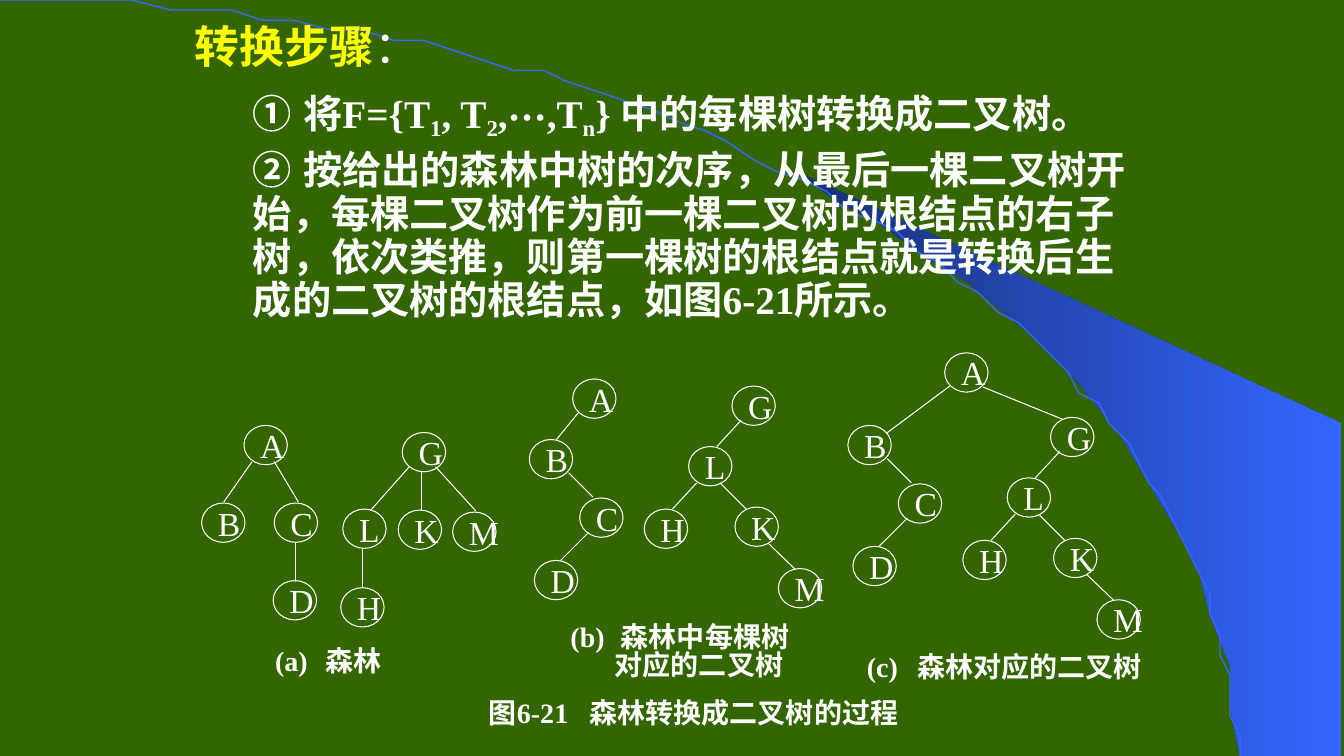
import pptx
import pptx.dml.color
import pptx.enum.shapes
import pptx.enum.text
import pptx.oxml.ns
import pptx.util
from lxml import etree

COLORS = {"background": "336600", "white": "FFFFFF", "yellow": "FFFF00",
          "blue": "3366FF", "navy": "182F76"}
LATIN, EAST_ASIAN = "Times New Roman", "Noto Sans CJK SC"
CELL = 0.1  # inches per grid column and row
NODE_SIZE = (4.3, 3.9)

# Corners of the wedge behind the text, in columns and rows
WEDGE = [(122.7, 74.8), (133.1, 74.9), (133.1, 42.3), (78.6, 17.3), (83.2, 19.9),
         (87, 22.2), (91.3, 25), (95.5, 28), (101.6, 33), (107, 38.4), (111, 43.1),
         (114.4, 47.9), (117.1, 52.8), (119.1, 57.2), (120.4, 60.9), (121.7, 65.6),
         (122.3, 69.6)]
ARC_END = (122.6, 74.9)
ARC_CONTROLS = [(0, 0), (67.7, 0), (122.6, 33.5), ARC_END]

# Each tree: nodes as {label: (column, row)} and edges as (x1, y1, x2, y2),
# both measured from the corner of its root
FOREST_A = ({"A": (0, 0), "B": (-4.2, 7.7), "C": (3, 7.7), "D": (2.9, 15.4)},
            [(0.8, 3.6, -2, 7.6), (3, 3.6, 5.4, 7.6), (5.1, 11.6, 5.1, 15.5)])
FOREST_G = ({"G": (0, 0), "L": (-5.9, 7.6), "K": (-0.4, 7.7), "M": (5, 7.9),
             "H": (-6.1, 15.4)},
            [(0.7, 3.4, -3.2, 7.8), (1.9, 3.9, 1.9, 7.8), (3.3, 3.4, 7.3, 7.8),
             (-3.9, 11.5, -3.9, 15.4)])
BINARY_B = ({"B": (0, 0), "C": (5, 5.8), "D": (0.5, 12)},
            [(3.9, 3.3, 6.3, 5.7), (5.9, 9.2, 3.1, 12)])
BINARY_G = ({"G": (0, 0), "L": (-4.3, 6), "K": (0.3, 12), "H": (-8.7, 12.2),
             "M": (4.6, 18.1)},
            [(0.9, 3.4, -1.5, 6), (-1.2, 9.6, 1.4, 12.2), (-3.5, 9.6, -5.9, 12.2),
             (3.6, 15.6, 6.3, 18.2)])
ROOT_OF_PAIR = ({"A": (0, 0)}, [(0.6, 3.3, -1.6, 6)])
ROOT_OF_ALL = ({"A": (0, 0)}, [(0.5, 3.3, -5.8, 8), (3.8, 3.4, 11.7, 6.6)])

PLACED_TREES = [
    (FOREST_A, 24.2, 42.2), (FOREST_G, 39.9, 42.9),
    (ROOT_OF_PAIR, 56.8, 37.6), (BINARY_B, 52.5, 43.6), (BINARY_G, 72.6, 38.3),
    (ROOT_OF_ALL, 93.7, 35), (BINARY_B, 84.1, 42.2), (BINARY_G, 104.2, 41.4),
]

# Column, row, width, height, tab stop, lines as (text, indent)
CAPTIONS = [
    (26.3, 63.8, 14, 3.9, 5.3, [("(a)\t森林", 0)]),
    (55.6, 61.2, 26, 7.1, 5.4, [("(b)\t森林中每棵树", 0), ("对应的二叉树", 4.4)]),
    (85, 64.4, 31, 3.9, 5.1, [("(c)\t森林对应的二叉树", 0)]),
    (47.5, 69, 46, 3.9, 10.7, [("图6-21\t森林转换成二叉树的过程", 0)]),
]

STEP_ONE = [("①\t将F={T", False), ("1", True), (", T", False), ("2", True),
            (",⋯,T", False), ("n", True), ("} 中的每棵树转换成二叉树。", False)]
STEP_TWO = [("②\t按给出的森林中树的次序，从最后一棵二叉树开始，每棵二叉树作为"
             "前一棵二叉树的根结点的右子树，依次类推，则第一棵树的根结点就是转换后"
             "生成的二叉树的根结点，如图6-21所示。", False)]


def grid(cells):
    return pptx.util.Inches(cells * CELL)


def rgb(name):
    return pptx.dml.color.RGBColor.from_string(COLORS[name])


def write(paragraph, text, size=24, bold=False, color="white", subscript=False):
    """Add one formatted run to the paragraph."""
    run = paragraph.add_run()
    run.text = text
    run.font.size = pptx.util.Pt(size)
    run.font.bold = bold
    run.font.name = LATIN
    run.font.color.rgb = rgb(color)
    properties = run._r.get_or_add_rPr()
    if subscript:
        properties.set("baseline", "-18000")
    east_asian = etree.Element(pptx.oxml.ns.qn("a:ea"), typeface=EAST_ASIAN)
    properties.find(pptx.oxml.ns.qn("a:latin")).addnext(east_asian)


def set_layout(paragraph, spacing, tab=0, indent=0):
    """Set line spacing, a left tab stop and a left margin."""
    paragraph.line_spacing = spacing
    properties = paragraph._p.get_or_add_pPr()
    properties.set("marL", str(grid(indent)))
    properties.set("indent", "0")
    if tab:
        tabs = etree.SubElement(properties, pptx.oxml.ns.qn("a:tabLst"))
        etree.SubElement(tabs, pptx.oxml.ns.qn("a:tab"), pos=str(grid(tab)), algn="l")


def bezier(controls, steps=60):
    """Return points along a cubic curve."""
    weights = (1, 3, 3, 1)
    return [tuple(sum(weight * (1 - t) ** (3 - i) * t ** i * point[axis]
                      for i, (weight, point) in enumerate(zip(weights, controls)))
                  for axis in (0, 1))
            for t in (step / steps for step in range(steps + 1))]


class SlideBuilder:
    """Holds the slide and draws each kind of element in its style."""

    def __init__(self, presentation):
        self.slide = presentation.slides.add_slide(presentation.slide_layouts[5])
        self.shapes = self.slide.shapes
        self.slide.background.fill.solid()
        self.slide.background.fill.fore_color.rgb = rgb("background")

    def outline(self, line, color="white", width=0.75):
        line.color.rgb = rgb(color)
        line.width = pptx.util.Pt(width)

    def freeform(self, points, close):
        builder = self.shapes.build_freeform(*points[0], scale=grid(1))
        builder.add_line_segments(points[1:], close=close)
        shape = builder.convert_to_shape()
        shape.shadow.inherit = False
        return shape

    def wedge(self):
        shape = self.freeform(WEDGE, True)
        shape.line.fill.background()
        shape.fill.gradient()
        shape.fill.gradient_angle = 0
        for stop, color, position in zip(shape.fill.gradient_stops, ("navy", "blue"), (0, 1)):
            stop.color.rgb = rgb(color)
            stop.position = position

    def arc(self):
        shape = self.freeform(bezier(ARC_CONTROLS), False)
        shape.fill.background()
        self.outline(shape.line, "blue", 1)

    def title(self, column, row, width, height):
        title = self.shapes.title
        title.left, title.top, title.width, title.height = map(grid, (column, row, width, height))
        title.element.getparent().append(title.element)  # in front of the backdrop
        frame = title.text_frame
        frame.auto_size = pptx.enum.text.MSO_AUTO_SIZE.NONE
        frame.vertical_anchor = pptx.enum.text.MSO_ANCHOR.TOP
        paragraph = frame.paragraphs[0]
        paragraph.alignment = pptx.enum.text.PP_ALIGN.LEFT
        set_layout(paragraph, 0.92)
        write(paragraph, "转换步骤", size=32, bold=True, color="yellow")
        write(paragraph, "：", size=32)

    def text_frame(self, column, row, width, height):
        frame = self.shapes.add_textbox(*map(grid, (column, row, width, height))).text_frame
        frame.word_wrap = True
        return frame

    def steps(self, column, row, width, height):
        frame = self.text_frame(column, row, width, height)
        first, second = frame.paragraphs[0], frame.add_paragraph()
        second.space_before = pptx.util.Pt(8.5)
        for paragraph, runs, tab in ((first, STEP_ONE, 6.6), (second, STEP_TWO, 5.7)):
            set_layout(paragraph, 0.92, tab)
            for text, subscript in runs:
                write(paragraph, text, size=28, bold=True, subscript=subscript)

    def caption(self, column, row, width, height, tab, lines):
        frame = self.text_frame(column, row, width, height)
        frame.vertical_anchor = pptx.enum.text.MSO_ANCHOR.MIDDLE
        for index, (text, indent) in enumerate(lines):
            paragraph = frame.add_paragraph() if index else frame.paragraphs[0]
            set_layout(paragraph, 0.84, tab if "\t" in text else 0, indent)
            write(paragraph, text, size=20, bold=True)

    def node(self, label, column, row):
        shape = self.shapes.add_shape(pptx.enum.shapes.MSO_SHAPE.OVAL,
                                      *map(grid, (column, row, *NODE_SIZE)))
        shape.shadow.inherit = False
        shape.fill.background()
        self.outline(shape.line)
        frame = shape.text_frame
        frame.word_wrap = False
        frame.vertical_anchor = pptx.enum.text.MSO_ANCHOR.MIDDLE
        frame.paragraphs[0].alignment = pptx.enum.text.PP_ALIGN.LEFT
        write(frame.paragraphs[0], label)

    def edge(self, *ends):
        connector = self.shapes.add_connector(pptx.enum.shapes.MSO_CONNECTOR.STRAIGHT,
                                              *map(grid, ends))
        self.outline(connector.line)
        etree.SubElement(connector._element.spPr, pptx.oxml.ns.qn("a:effectLst"))

    def tree(self, tree, column, row):
        nodes, edges = tree
        for label, (x, y) in nodes.items():
            self.node(label, column + x, row + y)
        for x1, y1, x2, y2 in edges:
            self.edge(column + x1, row + y1, column + x2, row + y2)


def main():
    presentation = pptx.Presentation()
    presentation.slide_width = pptx.util.Inches(13.33)
    presentation.slide_height = pptx.util.Inches(7.5)
    builder = SlideBuilder(presentation)
    builder.wedge()
    builder.arc()
    builder.title(18.3, 1.9, 96.7, 6.5)
    builder.steps(24.1, 8.6, 90.9, 27.5)
    for placed_tree in PLACED_TREES:
        builder.tree(*placed_tree)
    for caption in CAPTIONS:
        builder.caption(*caption)
    presentation.save("out.pptx")


if __name__ == "__main__":
    main()
